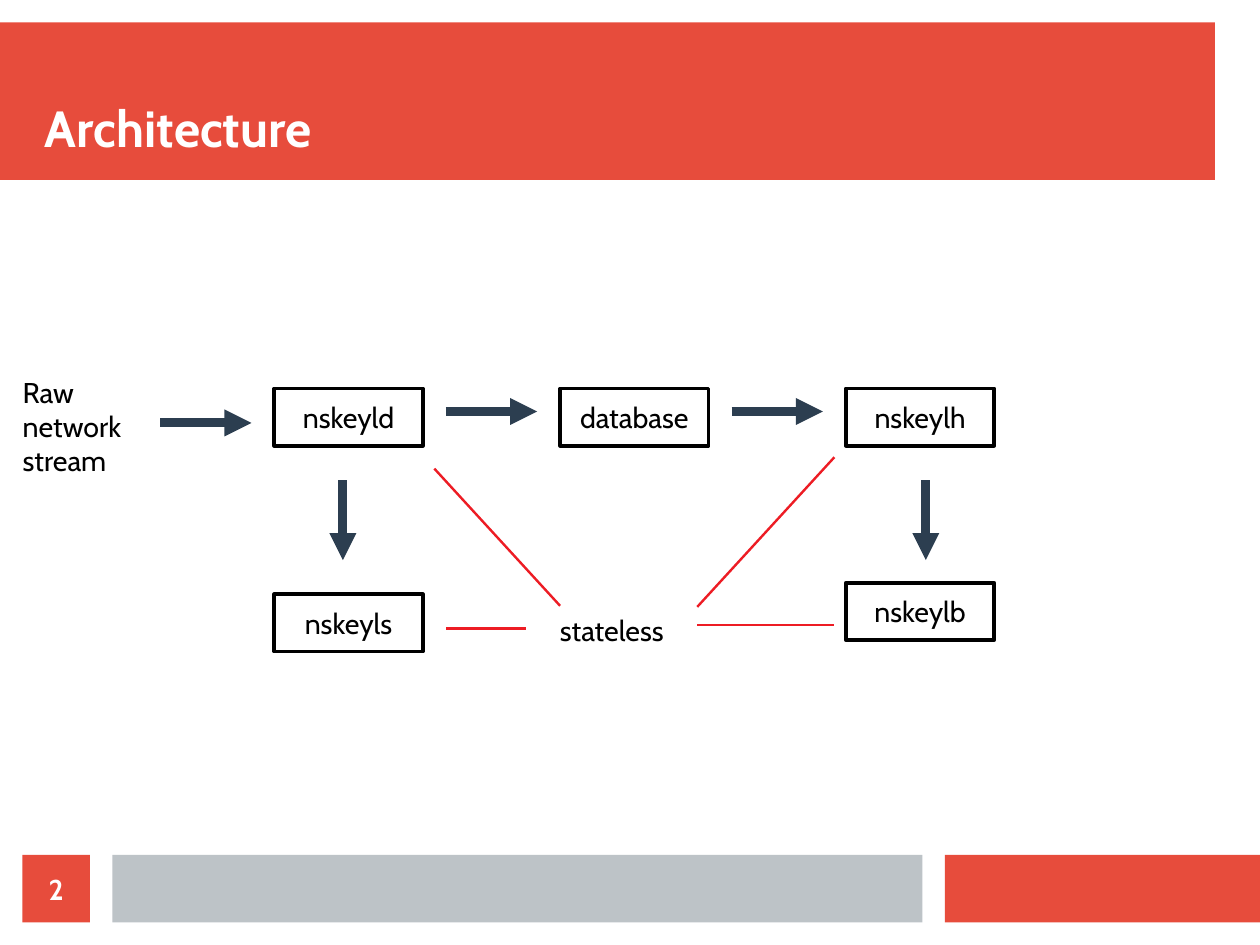
from pptx import Presentation
from pptx.dml.color import RGBColor
from pptx.enum.shapes import MSO_CONNECTOR as Link, MSO_SHAPE as Preset
from pptx.enum.text import MSO_ANCHOR as Anchor, PP_ALIGN as Align
from pptx.oxml.ns import qn
from pptx.util import Cm, Inches, Pt
from lxml.etree import SubElement

RED, GREY, NAVY, SIGNAL = "E74C3C", "BDC3C7", "2C3E50", "ED1C24"
BLACK, WHITE = "000000", "FFFFFF"


def color(hex_code):
    return RGBColor.from_string(hex_code)


def write(frame, words, size=18, ink=BLACK, bold=False, align=Align.LEFT,
          anchor=Anchor.TOP, wrap=True, insets=(0.1, 0.05)):
    frame.word_wrap = wrap
    frame.vertical_anchor = anchor
    frame.margin_left = frame.margin_right = Inches(insets[0])
    frame.margin_top = frame.margin_bottom = Inches(insets[1])
    paragraph = frame.paragraphs[0]
    paragraph.alignment = align
    run = paragraph.add_run()
    run.text = words
    run.font.name = "Cabin"
    run.font.size = Pt(size)
    run.font.bold = bold
    run.font.color.rgb = color(ink)


class Board:
    """A slide on a grid of square cells, measured in columns and rows."""

    def __init__(self, slide, cell):
        self.shapes = slide.shapes
        self.cell = cell

    def grid(self, *cells):
        return [round(count * self.cell) for count in cells]

    def block(self, area, fill, border=None):
        block = self.shapes.add_shape(Preset.RECTANGLE, *self.grid(*area))
        block.shadow.inherit = False
        block.fill.solid()
        block.fill.fore_color.rgb = color(fill)
        if border:
            block.line.color.rgb = color(border)
            block.line.width = Pt(2.3)
        else:
            block.line.fill.background()
        return block

    def node(self, name, column, row):
        node = self.block((column, row, 13, 5), WHITE, BLACK)
        write(node.text_frame, name, align=Align.CENTER, anchor=Anchor.MIDDLE,
              wrap=False, insets=(0.11, 0.06))

    def label(self, words, area, **style):
        label = self.shapes.add_textbox(*self.grid(*area))
        write(label.text_frame, words, **style)

    def link(self, ends, ink, width, arrow=False):
        link = self.shapes.add_connector(Link.STRAIGHT, *self.grid(*ends))
        link.line.color.rgb = color(ink)
        link.line.width = Pt(width)
        properties = link._element.spPr
        if arrow:
            SubElement(properties.find(qn("a:ln")), qn("a:tailEnd"), type="triangle")
        SubElement(properties, qn("a:effectLst"))


def main():
    deck = Presentation()
    deck.slide_width, deck.slide_height = Cm(28), Cm(21)
    slide = deck.slides.add_slide(deck.slide_layouts[6])

    layout = Board(slide, Cm(0.5))
    layout.block((0, 1, 54, 7), RED)
    layout.block((42, 38, 14, 3), RED)
    layout.block((5, 38, 36, 3), GREY)
    layout.label("Architecture", (2, 2, 52, 5), size=32, ink=WHITE, bold=True,
                 anchor=Anchor.BOTTOM, insets=(0, 0))
    page = layout.block((1, 38, 3, 3), RED)
    write(page.text_frame, "2", ink=WHITE, bold=True, align=Align.CENTER,
          anchor=Anchor.MIDDLE, insets=(0, 0))

    diagram = Board(slide, Inches(0.1))
    for step, name in enumerate(("nskeyld", "database", "nskeylh")):
        diagram.node(name, 24 + 25 * step, 34)
    diagram.node("nskeyls", 24, 52)
    diagram.node("nskeylb", 74, 51)

    diagram.label("Raw network stream", (1, 32.3, 14, 11.2))
    diagram.label("stateless", (48, 53.1, 14, 4.4))

    for column, row in ((14, 37), (39, 36), (64, 36)):
        diagram.link((column, row, column + 8, row), NAVY, 5.67, arrow=True)
    for column in (30, 81):
        diagram.link((column, 42, column, 49), NAVY, 5.67, arrow=True)

    for ends in ((46, 55, 39, 55), (49, 53, 38, 41),
                 (61, 53.1, 73, 40), (61, 54.7, 73, 54.7)):
        diagram.link(ends, SIGNAL, 1.5)

    deck.save("out.pptx")


if __name__ == "__main__":
    main()
